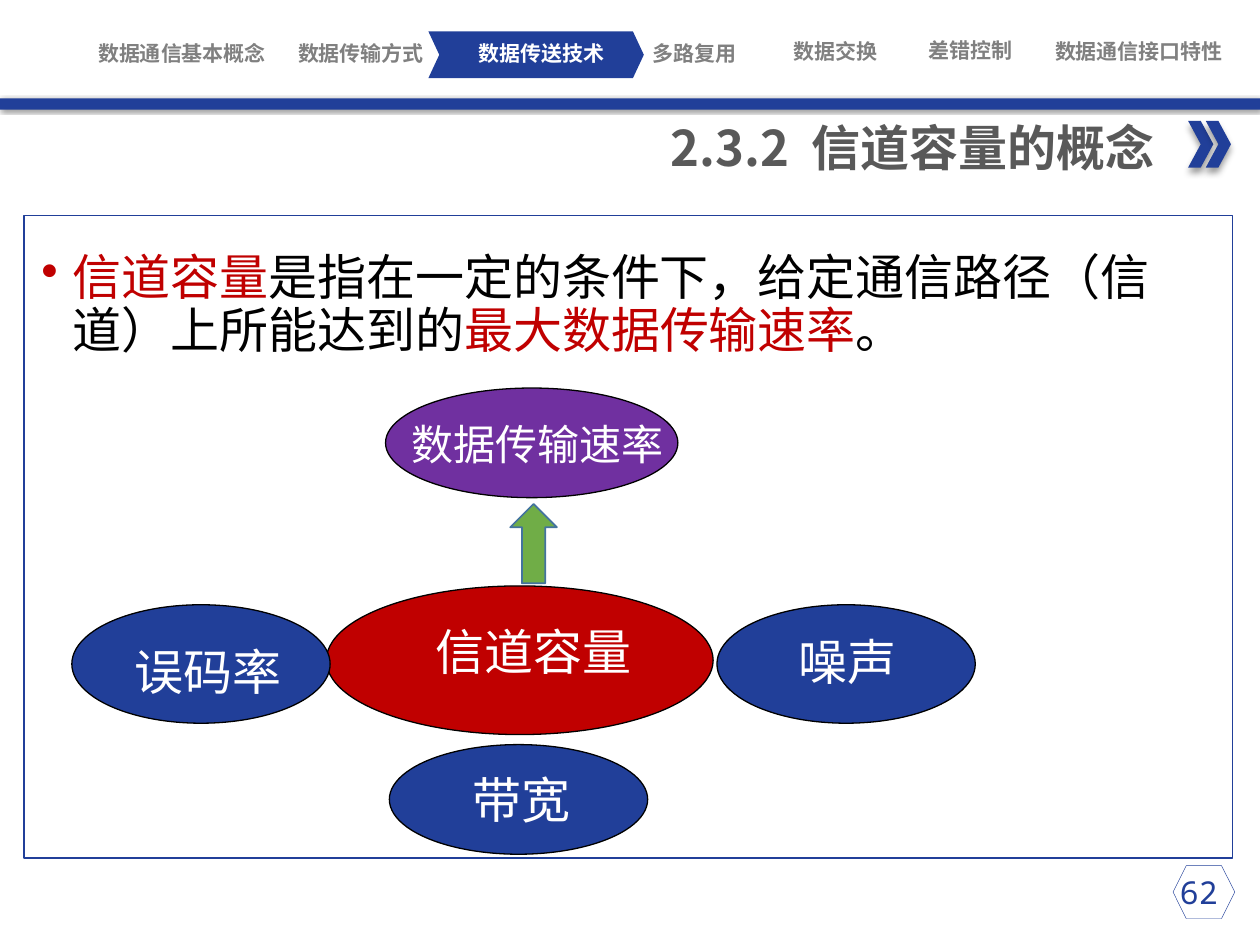
from lxml import etree
from pptx import Presentation
from pptx.dml.color import RGBColor
from pptx.enum.shapes import MSO_SHAPE
from pptx.enum.text import MSO_ANCHOR, MSO_AUTO_SIZE, PP_ALIGN
from pptx.oxml.ns import qn
from pptx.util import Emu, Pt

SCALE = 9144
RECTANGLE, ELLIPSE = MSO_SHAPE.RECTANGLE, MSO_SHAPE.OVAL
CHEVRON, HEXAGON, UP_ARROW = MSO_SHAPE.CHEVRON, MSO_SHAPE.HEXAGON, MSO_SHAPE.UP_ARROW
TOP, MIDDLE = MSO_ANCHOR.TOP, MSO_ANCHOR.MIDDLE
LEFT, CENTER, RIGHT = PP_ALIGN.LEFT, PP_ALIGN.CENTER, PP_ALIGN.RIGHT
GROW, NO_FIT = MSO_AUTO_SIZE.SHAPE_TO_FIT_TEXT, MSO_AUTO_SIZE.NONE
BLUE, RED, PURPLE, GREEN = "213F99", "C00000", "7030A0", "70AD47"
BLACK, WHITE, GRAY, DARK_GRAY = "000000", "FFFFFF", "808080", "595959"
CJK_FONT = "Noto Sans CJK SC"


def px(*values):
    return [Emu(value * SCALE) for value in values]


def rgb(value):
    return RGBColor.from_string(value)


class SlideBuilder:
    """Draws styled elements on one slide."""

    def __init__(self, slide):
        self.slide = slide

    def shape(self, kind, box, fill=None, line=None, width=0.75, shadow=None, parent=None):
        shape = (parent or self.slide).shapes.add_shape(kind, *px(*box))
        shape.shadow.inherit = False
        if fill:
            shape.fill.solid()
            shape.fill.fore_color.rgb = rgb(fill)
        else:
            shape.fill.background()
        if line:
            shape.line.color.rgb = rgb(line)
            shape.line.width = Pt(width)
        else:
            shape.line.fill.background()
        if shadow:
            self.cast_shadow(shape, *shadow)
        return shape

    def cast_shadow(self, shape, blur, distance, angle):
        effects = shape._element.spPr.find(qn("a:effectLst"))
        outer = etree.SubElement(effects, qn("a:outerShdw"), blurRad=str(Pt(blur)),
                                 dist=str(Pt(distance)), dir=str(angle * 60000),
                                 algn="ctr", rotWithShape="0")
        color = etree.SubElement(outer, qn("a:srgbClr"), val=BLACK)
        etree.SubElement(color, qn("a:alpha"), val="40000")

    def style(self, paragraph, size, font, color, bold=False, align=LEFT):
        paragraph.alignment = align
        paragraph.font.size = Pt(size)
        paragraph.font.name = font
        paragraph.font.bold = bold
        paragraph.font.color.rgb = rgb(color)
        defaults = paragraph._p.pPr.find(qn("a:defRPr"))
        etree.SubElement(defaults, qn("a:ea"), typeface=CJK_FONT)

    def text(self, box, text, size, font, color, bold=False, align=LEFT,
             anchor=TOP, inset=True, fit=GROW):
        text_box = self.slide.shapes.add_textbox(*px(*box))
        frame = text_box.text_frame
        frame.word_wrap = True
        frame.auto_size = fit
        frame.vertical_anchor = anchor
        if not inset:
            frame.margin_left = frame.margin_right = 0
            frame.margin_top = frame.margin_bottom = 0
        paragraph = frame.paragraphs[0]
        paragraph.text = text
        self.style(paragraph, size, font, color, bold, align)
        return paragraph

    def title(self, box, text):
        title = self.slide.shapes.title
        title.left, title.top, title.width, title.height = px(*box)
        frame = title.text_frame
        frame.text = text
        frame.word_wrap = False
        frame.auto_size = GROW
        frame.vertical_anchor = TOP
        self.style(frame.paragraphs[0], 28, CJK_FONT, DARK_GRAY, True, RIGHT)

    def bullet(self, box, parts):
        paragraph = self.text(box, "", 28, CJK_FONT, BLACK, fit=NO_FIT)
        for text, color in parts:
            run = paragraph.add_run()
            run.text = text
            run.font.color.rgb = rgb(color)
        paragraph.line_spacing = 0.9
        paragraph.space_before = Pt(10)
        properties = paragraph._p.pPr
        indent = Pt(18)
        properties.set("marL", str(indent))
        properties.set("indent", str(-indent))
        mark = etree.Element(qn("a:buChar"), char="•")
        properties.find(qn("a:defRPr")).addprevious(mark)

    def double_chevron(self, lefts):
        group = self.slide.shapes.add_group_shape()
        for left in lefts:
            self.shape(CHEVRON, (left, 96, 20, 37), BLUE, shadow=(4, 3, 90), parent=group)


def main():
    presentation = Presentation()
    presentation.slide_width, presentation.slide_height = px(1000, 750)
    slide = presentation.slides.add_slide(presentation.slide_layouts[5])
    builder = SlideBuilder(slide)

    active_tab = builder.shape(CHEVRON, (340, 25, 171, 37), BLUE)
    active_tab.adjustments[0] = 0.234
    tabs = [
        ("数据通信基本概念", 72, 32, 145, GRAY),
        ("数据传输方式", 214, 32, 145, GRAY),
        ("数据传送技术", 357, 32, 145, WHITE),
        ("多路复用", 479, 32, 145, GRAY),
        ("数据交换", 591, 31, 145, GRAY),
        ("差错控制", 698, 30, 145, GRAY),
        ("数据通信接口特性", 808, 31, 192, GRAY),
    ]
    for label, left, top, width, color in tabs:
        builder.text((left, top, width, 20), label, 12, "Roboto Condensed", color,
                     True, CENTER, MIDDLE, inset=False)

    builder.shape(RECTANGLE, (0, 78, 1000, 9), BLUE, shadow=(2, 1, 45))
    builder.title((501, 88, 425, 57), "2.3.2  信道容量的概念")
    builder.double_chevron((943, 957))

    builder.shape(RECTANGLE, (19, 171, 959, 510), line=BLUE)
    builder.bullet((23, 196, 929, 493), [
        ("信道容量", RED),
        ("是指在一定的条件下，给定通信路径（信道）上所能达到的", BLACK),
        ("最大数据传输速率", RED),
        ("。", BLACK),
    ])

    factors = [
        ("数据传输速率", (306, 308, 232, 87), PURPLE, (317, 327, 228, 50), 24),
        ("信道容量", (259, 465, 307, 118), RED, (336, 488, 189, 57), 28),
        ("噪声", (569, 480, 205, 94), BLUE, (624, 496, 110, 57), 28),
        ("误码率", (57, 480, 205, 94), BLUE, (97, 504, 150, 57), 28),
        ("带宽", (309, 591, 205, 87), BLUE, (365, 606, 102, 57), 28),
    ]
    for label, ellipse_box, fill, label_box, size in factors:
        builder.shape(ELLIPSE, ellipse_box, fill, BLACK)
        builder.text(label_box, label, size, "Calibri", WHITE)
    builder.shape(UP_ARROW, (405, 400, 37, 63), GREEN, "43739E", 1)

    builder.shape(HEXAGON, (931, 687, 49, 42), line=BLUE, width=0.25)
    builder.text((908, 688, 87, 40), "62", 18, "Noto Sans Mono", BLUE,
                 align=CENTER, fit=NO_FIT)
    presentation.save("out.pptx")


if __name__ == "__main__":
    main()
